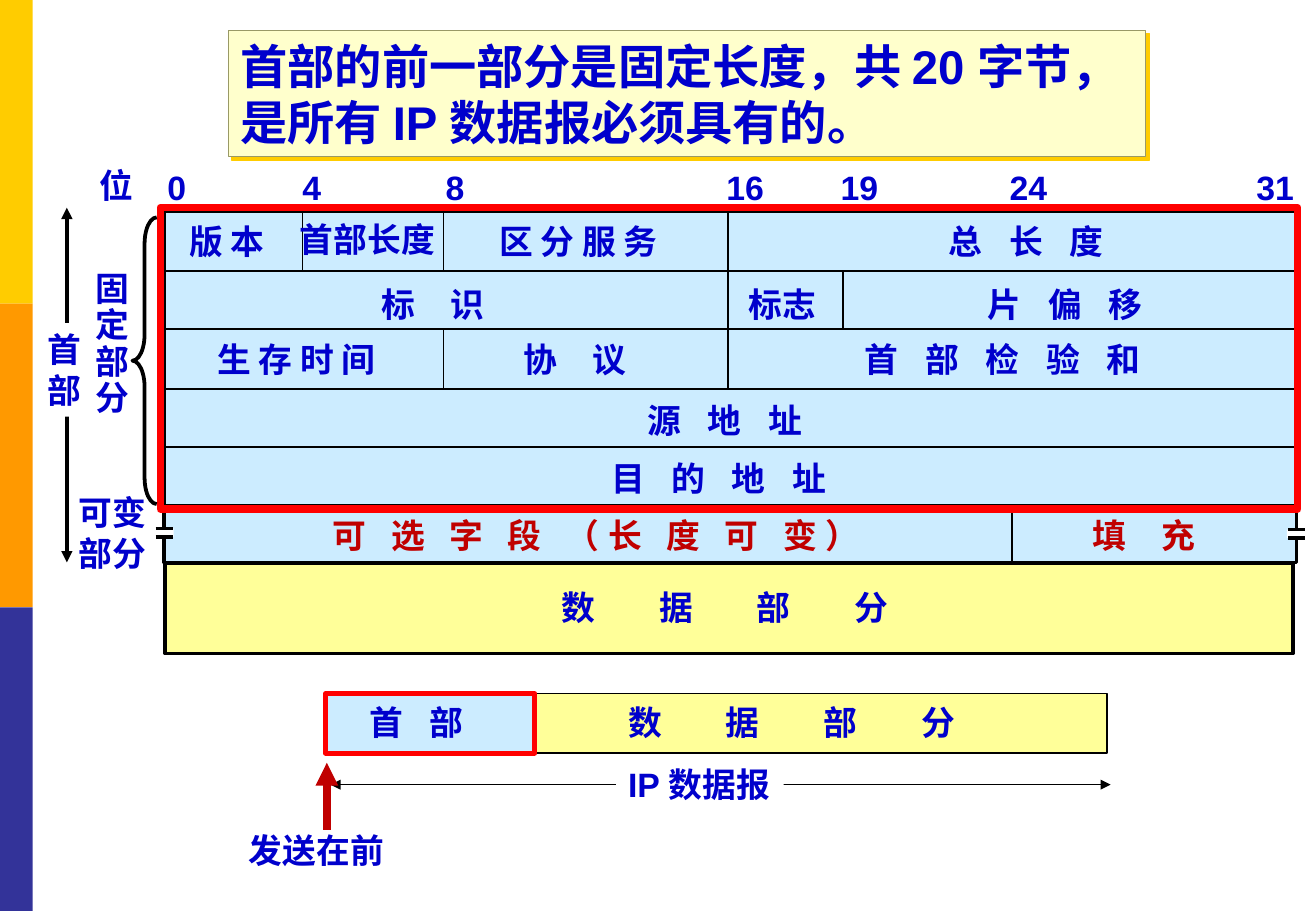
"""Build the slide that explains the layout of an IP datagram header."""
import dataclasses
import typing

import pptx
import pptx.dml.color
import pptx.enum.shapes
import pptx.enum.text
import pptx.oxml.ns
import pptx.shapes.autoshape
import pptx.shapes.connector
import pptx.slide
import pptx.util
from lxml import etree

RGB = pptx.dml.color.RGBColor
KIND = pptx.enum.shapes.MSO_SHAPE
FIT = pptx.enum.text.MSO_AUTO_SIZE
qn = pptx.oxml.ns.qn

SCALE = 9144
FACE = "Arial"
BLACK = RGB(0x00, 0x00, 0x00)
WHITE = RGB(0xFF, 0xFF, 0xFF)
BLUE = RGB(0x00, 0x00, 0xCC)
CRIMSON = RGB(0xC0, 0x00, 0x00)
RED = RGB(0xFF, 0x00, 0x00)
SKY = RGB(0xCC, 0xEC, 0xFF)
LEMON = RGB(0xFF, 0xFF, 0x99)
CREAM = RGB(0xFF, 0xFF, 0xCC)
OLIVE = RGB(0x99, 0x99, 0x66)
GOLD = RGB(0xFF, 0xCC, 0x00)
ORANGE = RGB(0xFF, 0x99, 0x00)
NAVY = RGB(0x33, 0x33, 0x99)


@dataclasses.dataclass
class Box:
    left: int
    top: int
    width: int
    height: int
    fill: typing.Optional[RGB] = None
    line: typing.Optional[RGB] = None
    weight: float = 1
    kind: KIND = KIND.RECTANGLE


@dataclasses.dataclass
class Rule:
    x1: int
    y1: int
    x2: int
    y2: int
    weight: float = 1
    color: RGB = BLACK
    tips: tuple[str, ...] = ()


@dataclasses.dataclass
class Label:
    text: str
    left: int
    top: int
    width: int
    height: int = 43
    color: RGB = BLUE
    spread: float = 0
    wrap: bool = False
    fill: typing.Optional[RGB] = None
    pitch: float = 1


STRIPES = [Box(0, 250 * i, 27, 250, tone) for i, tone in enumerate((GOLD, ORANGE, NAVY))]
PANELS = [
    Box(269, 571, 171, 49, SKY, BLACK),
    Box(439, 571, 472, 49, LEMON, BLACK),
    Box(135, 174, 932, 289, SKY, BLACK, 2),
    Box(136, 464, 928, 74, LEMON, BLACK, 2.25),
]
ROWS = [Rule(134, y, 1068, y) for y in (223 + round(i * 145 / 3) for i in range(5))]
SPLITS = [
    Rule(x, y1, x, y2)
    for x, y1, y2 in (
        (249, 174, 223), (365, 174, 223), (365, 272, 320),
        (599, 174, 320), (694, 224, 271), (833, 416, 464),
    )
]
BITS = [
    Label(bit, left, 132, 36 if len(bit) == 1 else 51)
    for bit, left in (
        ("0", 128), ("4", 239), ("8", 357), ("16", 588),
        ("19", 682), ("24", 821), ("31", 1024),
    )
]
FIELDS = [
    Label("位", 72, 131, 48),
    Label("版 本", 146, 177, 84),
    Label("首部长度", 237, 175, 132),
    Label("区 分 服 务", 401, 177, 156),
    Label("总 长 度", 771, 177, 151, spread=5.6),
    Label("标 识", 304, 229, 107, spread=8.3),
    Label("标志", 606, 229, 76),
    Label("片 偏 移", 803, 229, 151, spread=5.6),
    Label("生 存 时 间", 169, 274, 156),
    Label("协 议", 421, 274, 107, spread=8.3),
    Label("首 部 检 验 和", 702, 274, 254, spread=5.6),
    Label("源 地 址", 523, 324, 151, spread=5.6),
    Label("目 的 地 址", 493, 372, 202, spread=5.6),
    Label("可 选 字 段 （长 度 可 变）", 264, 419, 456, color=CRIMSON, spread=5),
    Label("填 充", 889, 419, 107, color=CRIMSON, spread=8.3),
    Label("数 据 部 分", 452, 478, 345, spread=16.7, wrap=True),
    Label("数 据 部 分", 507, 573, 367, spread=16.7, wrap=True),
    Label("首 部", 294, 573, 100, spread=5.6),
    Label("固\n定\n部\n分", 69, 219, 48, 131, pitch=0.9),
    Label("可变\n部分", 55, 400, 76, 77),
    Label("首\n部", 29, 266, 48, 77, fill=WHITE),
    Label("IP 数据报", 507, 624, 138, wrap=True, fill=WHITE),
    Label("发送在前", 195, 678, 132),
]
ARROWS = [
    Rule(272, 646, 914, 646, tips=("headEnd", "tailEnd")),
    Rule(55, 171, 55, 463, 2.25, tips=("headEnd", "tailEnd")),
    Rule(269, 683, 269, 628, 4.5, CRIMSON, ("tailEnd",)),
]
GAPS = [Box(127, 435, 16, 7, WHITE), Box(1059, 436, 16, 7, WHITE)]
EDGES = [
    Rule(gap.left + 1, y, gap.left + 15, y, 2)
    for gap in GAPS for y in (gap.top, gap.top + gap.height)
]
FRAMES = [
    Box(132, 171, 936, 248, None, RED, 4.5),
    Box(268, 571, 172, 49, None, RED, 3),
    Box(109, 179, 20, 236, None, BLACK, 2.25, KIND.LEFT_BRACE),
]


def px(*sizes: int) -> list[int]:
    """Turn px into EMU."""
    return [size * SCALE for size in sizes]


def draw_box(slide: pptx.slide.Slide, box: Box) -> None:
    """Draw one preset shape."""
    shape = slide.shapes.add_shape(box.kind, *px(box.left, box.top, box.width, box.height))
    shape.shadow.inherit = False
    if box.fill is None:
        shape.fill.background()
    else:
        shape.fill.solid()
        shape.fill.fore_color.rgb = box.fill
    if box.line is None:
        shape.line.fill.background()
    else:
        shape.line.color.rgb = box.line
        shape.line.width = pptx.util.Pt(box.weight)
    if box.kind == KIND.LEFT_BRACE:
        shape.adjustments[0] = 1.08


def draw_rule(slide: pptx.slide.Slide, rule: Rule) -> None:
    """Draw one line, with its arrowheads."""
    straight = pptx.enum.shapes.MSO_CONNECTOR.STRAIGHT
    link = slide.shapes.add_connector(straight, *px(rule.x1, rule.y1, rule.x2, rule.y2))
    link.line.color.rgb = rule.color
    link.line.width = pptx.util.Pt(rule.weight)
    props = link.element.spPr
    for tip in rule.tips:
        etree.SubElement(props.find(qn("a:ln")), qn(f"a:{tip}"), type="triangle")
    etree.SubElement(props, qn("a:effectLst"))


def style_text(shape: pptx.shapes.autoshape.Shape, size: int, color: RGB,
               spread: float = 0, pitch: float = 1) -> None:
    """Format every run of a shape."""
    for para in shape.text_frame.paragraphs:
        para.alignment = pptx.enum.text.PP_ALIGN.LEFT
        para.line_spacing = pitch
        for run in para.runs:
            run.font.name = FACE
            run.font.size = pptx.util.Pt(size)
            run.font.bold = True
            run.font.color.rgb = color
    if spread:
        for props in shape.element.iter(qn("a:rPr")):
            props.set("spc", str(round(spread * 100)))


def draw_label(slide: pptx.slide.Slide, label: Label) -> None:
    """Draw one text box."""
    shape = slide.shapes.add_textbox(*px(label.left, label.top, label.width, label.height))
    shape.text_frame.text = label.text
    shape.text_frame.word_wrap = label.wrap
    shape.text_frame.auto_size = FIT.SHAPE_TO_FIT_TEXT
    if label.fill is not None:
        shape.fill.solid()
        shape.fill.fore_color.rgb = label.fill
    style_text(shape, 20, label.color, label.spread, label.pitch)


def draw_title(slide: pptx.slide.Slide) -> None:
    """Fill the title and give it its hard shadow."""
    title = slide.shapes.title
    title.left, title.top, title.width, title.height = px(188, 25, 755, 104)
    title.text_frame.text = "首部的前一部分是固定长度，共 20 字节，是所有 IP 数据报必须具有的。"
    title.text_frame.word_wrap = True
    title.text_frame.auto_size = FIT.NONE
    title.fill.solid()
    title.fill.fore_color.rgb = CREAM
    title.line.color.rgb = OLIVE
    title.line.width = pptx.util.Pt(0.75)
    title.shadow.inherit = False
    glow = title.element.spPr.find(qn("a:effectLst"))
    shade = etree.SubElement(glow, qn("a:outerShdw"), dist="35921", dir="2700000",
                             algn="ctr", rotWithShape="0")
    etree.SubElement(shade, qn("a:srgbClr"), val=str(GOLD))
    style_text(title, 28, BLUE)


def main() -> None:
    """Build and save the deck."""
    deck = pptx.Presentation()
    deck.slide_width, deck.slide_height = px(1083, 750)
    slide = deck.slides.add_slide(deck.slide_layouts[5])
    draw_title(slide)
    for box in STRIPES + PANELS:
        draw_box(slide, box)
    for rule in ROWS + SPLITS + ARROWS:
        draw_rule(slide, rule)
    for label in BITS + FIELDS:
        draw_label(slide, label)
    for box in GAPS + FRAMES:
        draw_box(slide, box)
    for rule in EDGES:
        draw_rule(slide, rule)
    deck.save("out.pptx")


if __name__ == "__main__":
    main()
